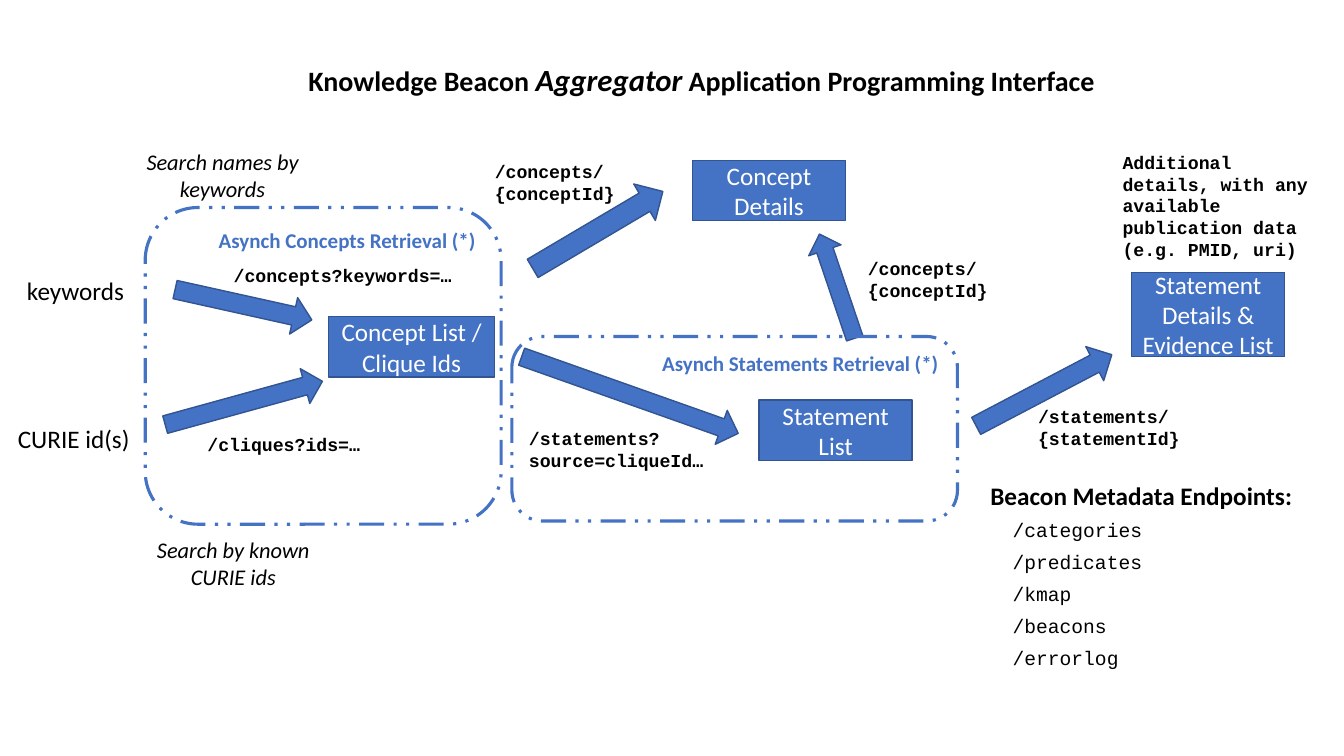
from pptx import Presentation
from pptx import util as u
from pptx.dml.color import RGBColor
from pptx.enum import dml, shapes, text

COLORS = {"blue": "4472C4", "edge": "325491", "black": "000000", "white": "FFFFFF"}
SANS, MONO = "Calibri", "Courier New"
LEFT, CENTER, RIGHT = text.PP_ALIGN.LEFT, text.PP_ALIGN.CENTER, text.PP_ALIGN.RIGHT

TITLE_AT = (7.52, 1.4, 20.52, 1.19)
TITLE = [
    ("Knowledge Beacon ", 20, False),
    ("Aggregator", 22, True),
    (" Application Programming Interface", 20, False),
]

STYLES = {
    "input": dict(size=18),
    "hint": dict(size=16, italic=True, align=CENTER),
    "call": dict(size=13, font=MONO, bold=True),
    "heading": dict(size=18, bold=True),
    "endpoint": dict(size=14, font=MONO, after=6),
    "box": dict(size=18, color="white", align=CENTER),
    "group": dict(size=15, color="blue", bold=True, align=RIGHT),
}

LABELS = [
    ("input", (0.43, 6.81, 2.97, 1.02), False, ["keywords"]),
    ("input", (0.2, 10.54, 3.35, 1.02), False, ["CURIE id(s)"]),
    ("hint", (2.74, 3.61, 5.74, 1.63), True, ["Search names by keywords"]),
    ("hint", (3.3, 13.39, 5.16, 1.63), True, ["Search by known CURIE ids"]),
    ("call", (5.64, 6.53, 6.05, 0.81), False, ["/concepts?keywords=…"]),
    ("call", (4.98, 10.8, 4.37, 0.81), False, ["/cliques?ids=…"]),
    ("call", (12.22, 3.91, 3.84, 1.37), True, ["/concepts/", "{conceptId}"]),
    ("call", (21.62, 6.35, 3.56, 1.37), False, ["/concepts/", "{conceptId}"]),
    ("call", (13.08, 10.64, 4.93, 1.37), False, ["/statements?", "source=cliqueId…"]),
    ("call", (25.91, 10.08, 4.09, 1.37), False, ["/statements/", "{statementId}"]),
    ("call", (28.04, 3.68, 5.26, 3.02), True,
     ["Additional details, with any available publication data (e.g. PMID, uri)"]),
    ("heading", (24.71, 11.99, 8.18, 1.02), False, ["Beacon Metadata Endpoints:"]),
    ("endpoint", (25.27, 12.93, 3.78, 4.11), False,
     ["/categories", "/predicates", "/kmap", "/beacons", "/errorlog"]),
]

BOXES = [
    ("Concept List / Clique Ids", (8.28, 7.98, 4.19, 1.52)),
    ("Concept Details", (17.45, 4.04, 3.86, 1.52)),
    ("Statement List", (19.13, 10.08, 3.86, 1.52)),
    ("Statement Details & Evidence List", (28.52, 6.86, 3.86, 2.13)),
]

ARROWS = [
    ((4.37, 7.21, 3.53, 0.94), 12.5),
    ((4.09, 9.7, 4.11, 0.91), 344.6),
    ((13.16, 5.26, 3.81, 1.07), 329.4),
    ((12.98, 9.5, 5.79, 0.91), 19.5),
    ((19.71, 6.78, 2.77, 0.86), 251.3),
    ((24.38, 9.35, 3.86, 0.97), 332.3),
]

GROUPS = [
    ("Asynch Concepts Retrieval (*)", (3.66, 5.23, 8.97, 7.98)),
    ("Asynch Statements Retrieval (*)", (12.9, 8.48, 11.23, 4.65)),
]


def rgb(name):
    return RGBColor.from_string(COLORS[name])


def style_run(r, size, font=SANS, bold=False, italic=False, color="black"):
    r.font.size = u.Pt(size)
    r.font.name = font
    r.font.bold = bold
    r.font.italic = italic
    r.font.color.rgb = rgb(color)


def write(tf, lines, align=LEFT, after=0, **look):
    tf.text = "\n".join(lines)
    for p in tf.paragraphs:
        p.alignment = align
        p.space_after = u.Pt(after)
        for r in p.runs:
            style_run(r, **look)


def add_label(s, at, wrap):
    tf = s.shapes.add_textbox(*map(u.Cm, at)).text_frame
    tf.word_wrap = wrap
    tf.auto_size = text.MSO_AUTO_SIZE.SHAPE_TO_FIT_TEXT
    return tf


def add_shape(s, kind, at, fill, line, width):
    sp = s.shapes.add_shape(kind, *map(u.Cm, at))
    sp.shadow.inherit = False
    if fill:
        sp.fill.solid()
        sp.fill.fore_color.rgb = rgb(fill)
    else:
        sp.fill.background()
    sp.line.color.rgb = rgb(line)
    sp.line.width = u.Pt(width)
    return sp


def main():
    prs = Presentation()
    prs.slide_width, prs.slide_height = u.Cm(33.87), u.Cm(19.05)
    s = prs.slides.add_slide(prs.slide_layouts[6])
    kinds = shapes.MSO_SHAPE

    for at, angle in ARROWS:
        add_shape(s, kinds.RIGHT_ARROW, at, "blue", "edge", 1).rotation = angle

    for name, at in BOXES:
        sp = add_shape(s, kinds.RECTANGLE, at, "blue", "edge", 1)
        sp.text_frame.word_wrap = True
        sp.text_frame.vertical_anchor = text.MSO_ANCHOR.MIDDLE
        write(sp.text_frame, [name], **STYLES["box"])

    for name, at in GROUPS:
        sp = add_shape(s, kinds.ROUNDED_RECTANGLE, at, None, "blue", 2.25)
        sp.line.dash_style = dml.MSO_LINE.DASH_DOT_DOT
        sp.text_frame.word_wrap = True
        sp.text_frame.vertical_anchor = text.MSO_ANCHOR.TOP
        write(sp.text_frame, [name], **STYLES["group"])

    for style, at, wrap, lines in LABELS:
        write(add_label(s, at, wrap), lines, **STYLES[style])

    p = add_label(s, TITLE_AT, False).paragraphs[0]
    for words, size, italic in TITLE:
        r = p.add_run()
        r.text = words
        style_run(r, size, bold=True, italic=italic)

    prs.save("out.pptx")


if __name__ == "__main__":
    main()
